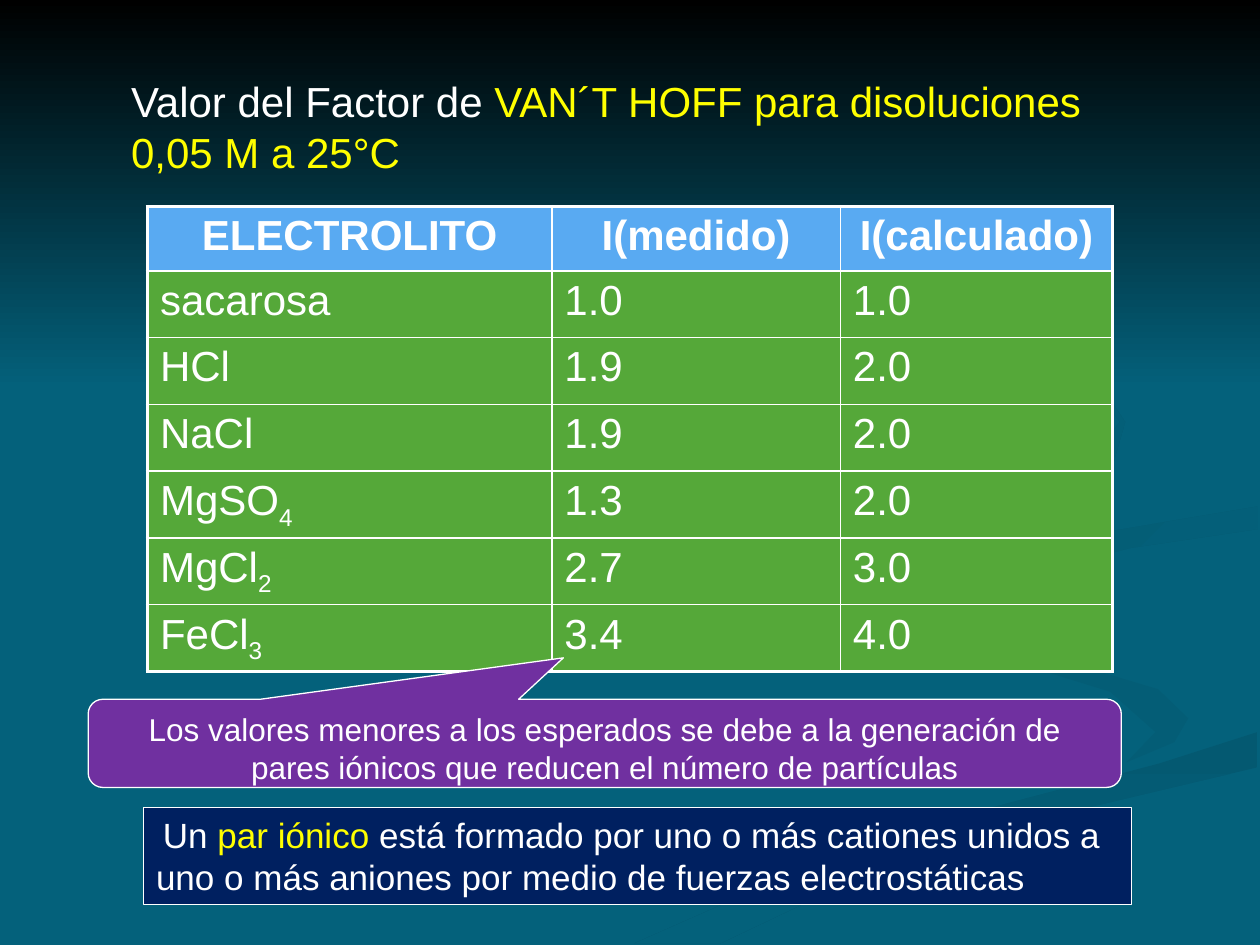
from dataclasses import dataclass

from lxml import etree
from pptx import Presentation
from pptx.dml.color import RGBColor
from pptx.enum import shapes, text
from pptx.oxml.ns import qn
from pptx.util import Inches, Pt


@dataclass(frozen=True)
class Theme:
    font: str = "Arial"
    sea: str = "04617B"
    black: str = "000000"
    white: str = "FFFFFF"
    yellow: str = "FFFF00"
    header: str = "59AAF2"
    cell: str = "55A839"
    callout: str = "7030A0"
    navy: str = "002060"
    large: int = 24
    medium: int = 20
    small: int = 18
    tiny: int = 14
    thin: float = 1
    thick: float = 2.25


THEME = Theme()


@dataclass(frozen=True)
class Span:
    text: str
    color: str = THEME.white
    size: int = THEME.large
    bold: bool = False
    subscript: bool = False


@dataclass(frozen=True)
class Ribbon:
    """A closed outline in hundredths of an inch, with a two-colour gradient."""
    points: tuple
    start: str
    end: str
    angle: int


RIBBONS = [
    Ribbon(((943, 570), (919, 547), (792, 509), (733, 483), (724, 464), (733, 488),
            (781, 518), (881, 549), (917, 581), (894, 605), (932, 589)),
           THEME.sea, "045D76", 45),
    Ribbon(((503, 749), (571, 749), (670, 702), (821, 651), (998, 609), (998, 581),
            (920, 606), (764, 647), (630, 693)), "045971", THEME.sea, 90),
    Ribbon(((782, 460), (791, 478), (826, 496), (805, 476), (828, 453), (897, 435),
            (998, 420), (998, 402), (849, 427), (799, 442)), "045C74", THEME.sea, 45),
    Ribbon(((683, 430), (825, 402), (883, 370), (893, 335), (864, 291), (763, 233),
            (846, 279), (889, 335), (861, 370), (763, 398), (615, 429), (577, 462),
            (622, 500), (593, 470), (624, 444)), "045A72", THEME.sea, 45),
]

HEADERS = ("ELECTROLITO", "I(medido)", "I(calculado)")
ELECTROLYTES = [
    ("sacarosa", "", "1.0", "1.0"),
    ("HCl", "", "1.9", "2.0"),
    ("NaCl", "", "1.9", "2.0"),
    ("MgSO", "4", "1.3", "2.0"),
    ("MgCl", "2", "2.7", "3.0"),
    ("FeCl", "3", "3.4", "4.0"),
]
COLUMN_WIDTHS = (3.21, 2.29, 2.16)


def write(frame, spans: list, *, align=text.PP_ALIGN.LEFT, space_before: float = 0) -> None:
    frame.word_wrap = True
    frame.vertical_anchor = text.MSO_ANCHOR.TOP
    para = frame.paragraphs[0]
    para.alignment = align
    para.space_before = Pt(space_before)
    for item in spans:
        span = para.add_run()
        span.text = item.text
        span.font.name = THEME.font
        span.font.size = Pt(item.size)
        span.font.bold = item.bold
        span.font.color.rgb = RGBColor.from_string(item.color)
        if item.subscript:
            span.font._element.set("baseline", "-25000")


def paint(fill, color: str) -> None:
    fill.solid()
    fill.fore_color.rgb = RGBColor.from_string(color)


def shade(shape, start: str, end: str, angle: int) -> None:
    """Give a borderless shape a gradient, with the angle clockwise."""
    shape.shadow.inherit = False
    shape.line.fill.background()
    shape.fill.gradient()
    shape.fill.gradient_angle = -angle % 360
    for stop, color in zip(shape.fill.gradient_stops, (start, end)):
        stop.color.rgb = RGBColor.from_string(color)


def draw_backdrop(page) -> None:
    paint(page.background.fill, THEME.sea)
    for ribbon in RIBBONS:
        builder = page.shapes.build_freeform(*ribbon.points[0], scale=Inches(0.01))
        builder.add_line_segments(ribbon.points[1:], close=True)
        shade(builder.convert_to_shape(), ribbon.start, ribbon.end, ribbon.angle)
    sky = page.shapes.add_shape(shapes.MSO_SHAPE.RECTANGLE, 0, 0, Inches(10), Inches(3.08))
    shade(sky, THEME.black, THEME.sea, 90)


def draw_box(page, kind, area: tuple, color: str, spans: list, **layout):
    box = page.shapes.add_shape(kind, *map(Inches, area))
    box.shadow.inherit = False
    paint(box.fill, color)
    box.line.color.rgb = RGBColor.from_string(THEME.white)
    box.line.width = Pt(0.75)
    write(box.text_frame, spans, **layout)
    return box


def set_borders(cell, widths: dict) -> None:
    """Put white lines, with widths in points, ahead of the cell's fill."""
    properties = cell._tc.get_or_add_tcPr()
    for index, (side, width) in enumerate(widths.items()):
        line = etree.Element(qn(f"a:ln{side}"), w=str(Pt(width)))
        fill = etree.SubElement(line, qn("a:solidFill"))
        etree.SubElement(fill, qn("a:srgbClr"), val=THEME.white)
        properties.insert(index, line)


def draw_table(page) -> None:
    rows = [[[Span(name, bold=True)] for name in HEADERS]]
    for formula, index, measured, calculated in ELECTROLYTES:
        name = [Span(formula)] + ([Span(index, subscript=True)] if index else [])
        rows.append([name, [Span(measured)], [Span(calculated)]])
    last_row, last_column = len(rows) - 1, len(HEADERS) - 1
    table = page.shapes.add_table(len(rows), len(HEADERS), Inches(1.17), Inches(1.64),
                                  Inches(sum(COLUMN_WIDTHS)), Inches(3.67)).table
    table.horz_banding = False
    for column, width in zip(table.columns, COLUMN_WIDTHS):
        column.width = Inches(width)
    for r, contents in enumerate(rows):
        table.rows[r].height = Inches(0.53 if r else 0.51)
        for c, spans in enumerate(contents):
            cell = table.cell(r, c)
            paint(cell.fill, THEME.cell if r else THEME.header)
            align = text.PP_ALIGN.LEFT if r else text.PP_ALIGN.CENTER
            write(cell.text_frame, spans, align=align, space_before=4.8)
            outer = {"L": c == 0, "R": c == last_column, "T": r == 0, "B": r == last_row}
            set_borders(cell, {side: THEME.thick if edge else THEME.thin
                               for side, edge in outer.items()})


def place_title(page) -> None:
    title = page.shapes.title
    title.left, title.top, title.width, title.height = map(Inches, (0.94, 0.55, 7.97, 0.91))
    write(title.text_frame, [
        Span("Valor del Factor de "),
        Span("VAN´T HOFF para disoluciones 0,05 M a 25°C", THEME.yellow)])
    title.text_frame.auto_size = text.MSO_AUTO_SIZE.NONE
    page.shapes.element.append(title.element)  # in front of the backdrop


def main() -> None:
    deck = Presentation()
    deck.slide_width, deck.slide_height = Inches(10), Inches(7.5)
    page = deck.slides.add_slide(deck.slide_layouts.get_by_name("Title Only"))
    draw_backdrop(page)
    draw_table(page)
    place_title(page)
    callout = draw_box(
        page, shapes.MSO_SHAPE.ROUNDED_RECTANGULAR_CALLOUT, (0.7, 5.55, 8.2, 0.7), THEME.callout,
        [Span("Los valores menores a los esperados se debe a la generación de pares "
              "iónicos que reducen el número de partículas", size=THEME.small)],
        align=text.PP_ALIGN.CENTER)
    callout.adjustments[0], callout.adjustments[1] = -0.04, -0.97
    draw_box(page, shapes.MSO_SHAPE.RECTANGLE, (1.14, 6.41, 7.84, 0.77), THEME.navy, [
        Span(" ", size=THEME.tiny),
        Span("Un ", size=THEME.medium),
        Span("par iónico ", THEME.yellow, THEME.medium),
        Span("está formado por uno o más cationes unidos a uno o más aniones "
             "por medio de fuerzas electrostáticas", size=THEME.medium)])
    deck.save("out.pptx")


if __name__ == "__main__":
    main()
